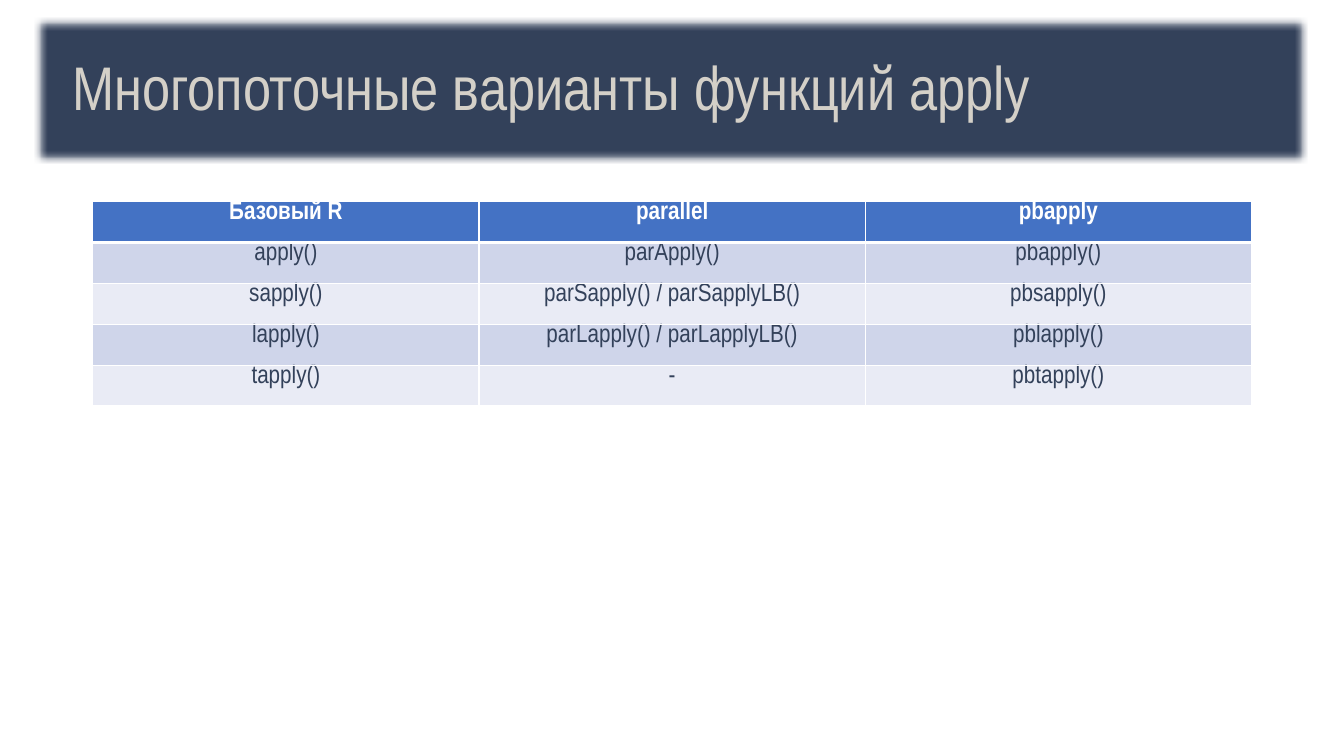
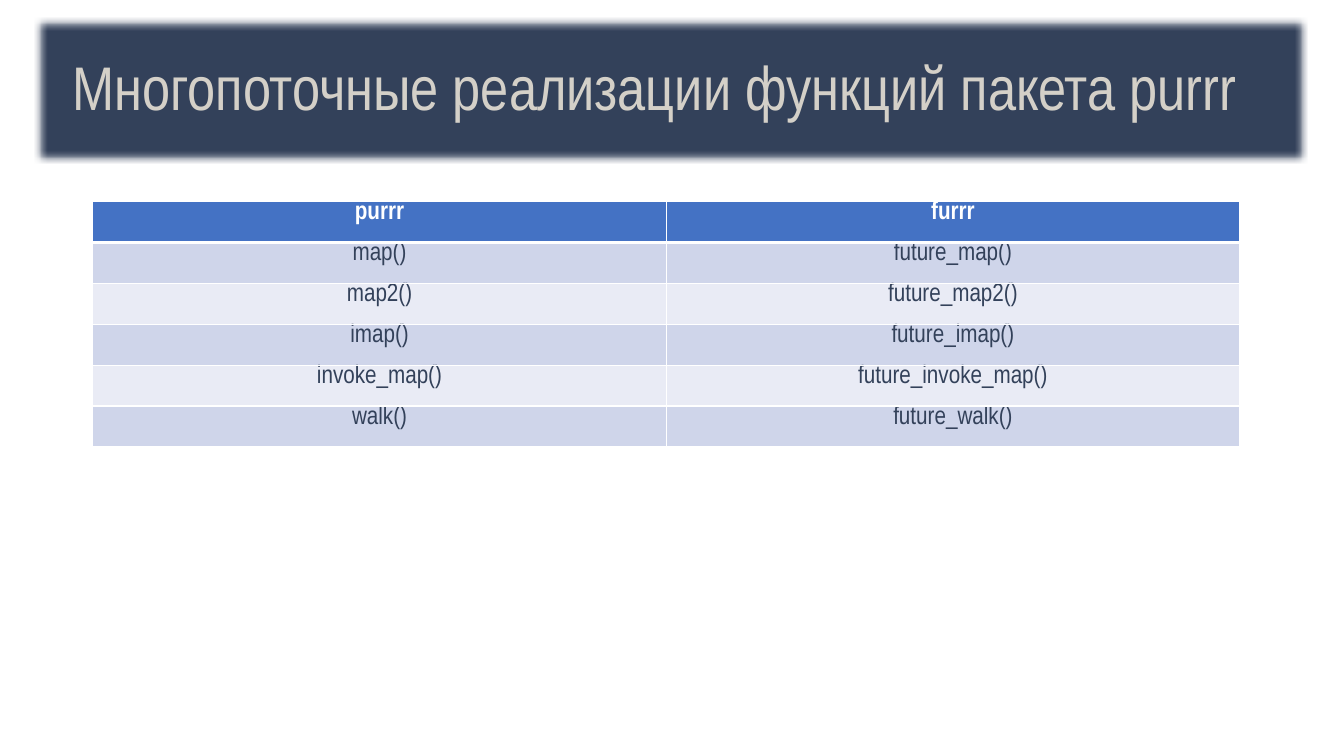
import dataclasses
import typing

import lxml.etree
import pptx
import pptx.dml.color
import pptx.enum.text
import pptx.oxml
import pptx.oxml.ns
import pptx.util

Cm = pptx.util.Cm
Pt = pptx.util.Pt
ALIGN = pptx.enum.text.PP_ALIGN
ANCHOR = pptx.enum.text.MSO_ANCHOR
qn = pptx.oxml.ns.qn

FONT = "Arial Narrow"
NAVY = "33415A"
SAND = "D4D0C8"
BLUE = "4472C4"
WHITE = "FFFFFF"
BANDS = ("E9EBF5", "CFD5EA")
ROW = Cm(1.03)


@dataclasses.dataclass(frozen=True)
class Page:
    title: str
    width: float
    rows: tuple[tuple[str, ...], ...]


PAGES = (
    Page("Многопоточные варианты функций apply", 29.2, (
        ("Базовый R", "parallel", "pbapply"),
        ("apply()", "parApply()", "pbapply()"),
        ("sapply()", "parSapply() / parSapplyLB()", "pbsapply()"),
        ("lapply()", "parLapply() / parLapplyLB()", "pblapply()"),
        ("tapply()", "-", "pbtapply()"),
    )),
    Page("Многопоточные реализации функций пакета purrr", 28.9, (
        ("purrr", "furrr"),
        ("map()", "future_map()"),
        ("map2()", "future_map2()"),
        ("imap()", "future_imap()"),
        ("invoke_map()", "future_invoke_map()"),
        ("walk()", "future_walk()"),
    )),
)


def color(code: str) -> pptx.dml.color.RGBColor:
    return pptx.dml.color.RGBColor.from_string(code)


def paint(item: typing.Any, code: str) -> None:
    item.fill.solid()
    item.fill.fore_color.rgb = color(code)


def write(frame: typing.Any, text: str, *, size: float, ink: str,
          bold: bool = False, align: ALIGN = ALIGN.LEFT,
          space: float = 1.0) -> None:
    para = frame.paragraphs[0]
    para.alignment = align
    para.line_spacing = space
    run = para.add_run()
    run.text = text
    run.font.name = FONT
    run.font.size = Pt(size)
    run.font.bold = bold
    run.font.color.rgb = color(ink)


def soften(shape: typing.Any, radius: float) -> None:
    effects = lxml.etree.SubElement(shape.element.spPr, qn("a:effectLst"))
    edge = lxml.etree.SubElement(effects, qn("a:softEdge"))
    edge.set("rad", str(Pt(radius)))


def border(cell: typing.Any, top: float, bottom: float) -> None:
    props = cell._tc.get_or_add_tcPr()
    sides = (("L", 1), ("R", 1), ("T", top), ("B", bottom))
    for place, (side, width) in enumerate(sides):
        line = pptx.oxml.parse_xml(
            f'<a:ln{side} {pptx.oxml.ns.nsdecls("a")} w="{Pt(width)}">'
            f'<a:solidFill><a:srgbClr val="{WHITE}"/></a:solidFill>'
            f'</a:ln{side}>')
        props.insert(place, line)


def head(slide: typing.Any, text: str) -> None:
    title = slide.shapes.title
    title.left, title.top = Cm(0.86), Cm(0.43)
    title.width, title.height = Cm(32.08), Cm(3.68)
    paint(title, NAVY)
    soften(title, 5)
    frame = title.text_frame
    frame.auto_size = pptx.enum.text.MSO_AUTO_SIZE.NONE
    frame.vertical_anchor = ANCHOR.MIDDLE
    frame.margin_left = Cm(0.97)
    write(frame, text, size=44, ink=SAND, space=0.9)


def grid(slide: typing.Any, page: Page) -> None:
    count, span = len(page.rows), len(page.rows[0])
    table = slide.shapes.add_table(
        count, span, Cm(2.34), Cm(5.08), Cm(page.width), ROW * count).table
    for row in table.rows:
        row.height = ROW
    for y, words in enumerate(page.rows):
        first = y == 0
        for x, word in enumerate(words):
            cell = table.cell(y, x)
            cell.margin_top = cell.margin_bottom = 0
            cell.vertical_anchor = ANCHOR.TOP
            paint(cell, BLUE if first else BANDS[y % 2])
            border(cell, 3 if y == 1 else 1, 3 if first else 1)
            write(cell.text_frame, word, size=18, bold=first,
                  ink=WHITE if first else NAVY, align=ALIGN.CENTER)


def main() -> None:
    deck = pptx.Presentation()
    deck.slide_width, deck.slide_height = Cm(33.87), Cm(19.05)
    layout = deck.slide_layouts.get_by_name("Title Only")
    for page in PAGES:
        slide = deck.slides.add_slide(layout)
        head(slide, page.title)
        grid(slide, page)
    deck.save("out.pptx")


main()
